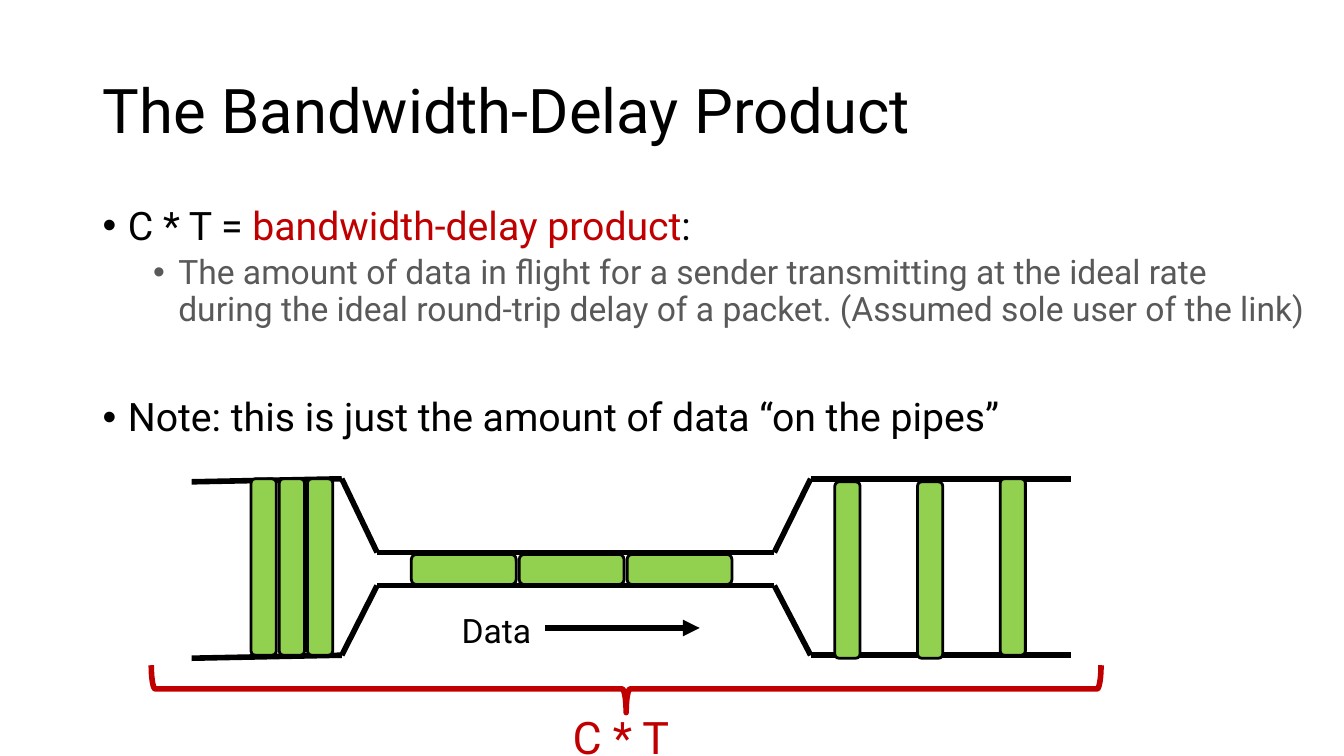
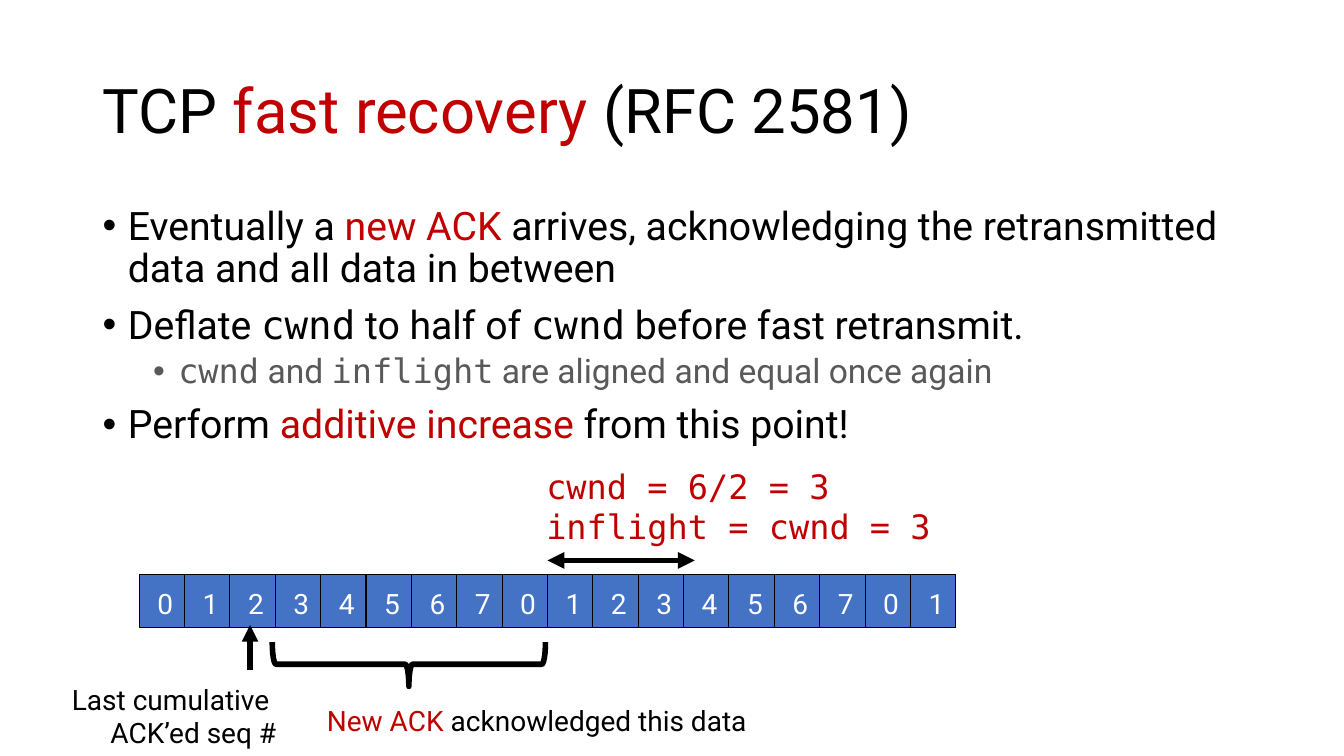
from itertools import pairwise

from lxml import etree
from pptx import Presentation
from pptx.dml.color import RGBColor
from pptx.enum.shapes import MSO_CONNECTOR, MSO_SHAPE
from pptx.enum.text import MSO_ANCHOR, PP_ALIGN
from pptx.oxml.ns import qn
from pptx.util import Emu, Pt

STRAIGHT = MSO_CONNECTOR.STRAIGHT
RECT = MSO_SHAPE.RECTANGLE
ROUNDED = MSO_SHAPE.ROUNDED_RECTANGLE
BRACE = MSO_SHAPE.RIGHT_BRACE
TOP, MIDDLE = MSO_ANCHOR.TOP, MSO_ANCHOR.MIDDLE
LEFT, CENTER, RIGHT = PP_ALIGN.LEFT, PP_ALIGN.CENTER, PP_ALIGN.RIGHT

EMU_PER_PX = 9144
SANS, MONO = "Roboto", "DejaVu Sans Mono"
BLACK, WHITE, RED, GRAY = "000000", "FFFFFF", "C00000", "595959"
PACKET_GREEN, CELL_BLUE = "92D050", "4472C4"
TITLE_BOX = (92, 40, 1150, 145)
LEVELS = (
    {"size": 28, "color": BLACK, "before": 10, "indent": 25},
    {"size": 24, "color": GRAY, "before": 5, "indent": 75},
)


def px(length):
    """Turn px into EMU."""
    return Emu(round(length * EMU_PER_PX))


def rgb(value):
    """Turn a hex string into a colour."""
    return RGBColor.from_string(value)


def red(text):
    """Return a run in the accent colour."""
    return text, {"color": RED}


def mono(text):
    """Return a run in the code font."""
    return text, {"font": MONO}


def add_bullet(paragraph, indent):
    """Give a paragraph a hanging bullet."""
    properties = paragraph._p.get_or_add_pPr()
    properties.set("marL", str(px(indent)))
    properties.set("indent", str(-px(25)))
    etree.SubElement(properties, qn("a:buFont")).set("typeface", "Arial")
    etree.SubElement(properties, qn("a:buChar")).set("char", "•")


def write(frame, *runs, size=20, color=BLACK, font=SANS, align=LEFT,
          spacing=None, before=0, indent=None):
    """Write one paragraph of plain or specially formatted runs."""
    first = frame.paragraphs[0]
    paragraph = frame.add_paragraph() if first.runs else first
    paragraph.alignment = align
    paragraph.space_before = Pt(before)
    if spacing:
        paragraph.line_spacing = spacing
    if indent is not None:
        add_bullet(paragraph, indent)
    for part in runs:
        text, special = (part, {}) if isinstance(part, str) else part
        run = paragraph.add_run()
        run.text = text
        run.font.size = Pt(size)
        run.font.name = special.get("font", font)
        run.font.color.rgb = rgb(special.get("color", color))


def text_area(slide, box, anchor=TOP):
    """Add a wrapping text box and return its frame."""
    frame = slide.shapes.add_textbox(*map(px, box)).text_frame
    frame.word_wrap = True
    frame.vertical_anchor = anchor
    return frame


def outlined(slide, kind, box, fill=None, color=BLACK, width=4):
    """Add a preset shape with a plain outline."""
    shape = slide.shapes.add_shape(kind, *map(px, box))
    shape.shadow.inherit = False
    if fill:
        shape.fill.solid()
        shape.fill.fore_color.rgb = rgb(fill)
    else:
        shape.fill.background()
    shape.line.color.rgb = rgb(color)
    shape.line.width = Pt(width)
    return shape


def add_line(slide, start, end, arrows=()):
    """Add a thick black line with arrowheads at the named ends."""
    line = slide.shapes.add_connector(STRAIGHT, *map(px, (*start, *end)))
    line.line.color.rgb = rgb(BLACK)
    line.line.width = Pt(4)
    for arrow in arrows:
        etree.SubElement(line.line._get_or_add_ln(), qn(f"a:{arrow}")).set("type", "triangle")
    etree.SubElement(line._element.spPr, qn("a:effectLst"))


def brace_below(slide, box, color):
    """Draw a brace that opens upwards and fills the box."""
    left, top, width, height = box
    upright = (left + (width - height) / 2, top + (height - width) / 2, height, width)
    outlined(slide, BRACE, upright, color=color).rotation = 90


def add_title(slide, *runs):
    """Place the slide title."""
    write(text_area(slide, TITLE_BOX, MIDDLE), *runs, size=44, spacing=0.9)


def add_body(slide, box, points):
    """Place bullets given as level, runs and optional changes of format."""
    frame = text_area(slide, box)
    for level, runs, *changes in points:
        style = LEVELS[level] | (changes[0] if changes else {})
        write(frame, *runs, spacing=0.9, **style)


def draw_pipe(slide, left, top):
    """Draw a pipe with a bottleneck and the packets inside it."""
    xs = (0, 149, 184, 578, 614, 872)
    walls = ((3, 0, 73, 73, 0, 0), (178, 175, 106, 106, 175, 175))
    for ys in walls:
        corners = [(left + x, top + y) for x, y in zip(xs, ys)]
        for start, end in pairwise(corners):
            add_line(slide, start, end)
    queued = [(59 + 28 * i, 0, 25, 175) for i in range(3)]
    squeezed = [(218 + 107 * i, 75, 104, 30) for i in range(3)]
    spaced = [(638 + 82 * i, y, 25, 175) for i, y in enumerate((3, 3, 0))]
    for x, y, width, height in queued + squeezed + spaced:
        outlined(slide, ROUNDED, (left + x, top + y, width, height), PACKET_GREEN, width=2)


def draw_sequence(slide, left, top, numbers):
    """Draw a row of numbered cells."""
    for i, number in enumerate(numbers):
        cell = outlined(slide, RECT, (left + 45 * i, top, 45, 53), CELL_BLUE, width=0.75)
        frame = cell.text_frame
        frame.vertical_anchor = MIDDLE
        frame.margin_left, frame.margin_right = px(18), 0
        frame.margin_top, frame.margin_bottom = px(5), 0
        write(frame, str(number), color=WHITE)


def bandwidth_slide(slide):
    """Build the slide on the bandwidth-delay product."""
    add_title(slide, "The Bandwidth-Delay Product")
    add_body(slide, (92, 200, 1215, 529), [
        (0, ["C * T = ", red("bandwidth-delay product"), ":"]),
        (1, ["The amount of data in flight for a sender transmitting at the ideal rate "
             "during the ideal round-trip delay of a packet. "
             "(Assumed sole user of the link)"]),
        (0, ["Note: this is just the amount of data “on the pipes”"], {"before": 49.5}),
    ])
    draw_pipe(slide, 190, 475)
    write(text_area(slide, (448, 600, 284, 50)), "Data", size=24)
    add_line(slide, (541, 623), (694, 623), ["tailEnd"])
    brace_below(slide, (150, 660, 942, 47), RED)
    write(text_area(slide, (558, 699, 141, 64)), "C * T", size=32, color=RED)


def recovery_slide(slide):
    """Build the slide on fast recovery."""
    add_title(slide, "TCP ", red("fast recovery"), " (RFC 2581)")
    add_body(slide, (92, 200, 1150, 476), [
        (0, ["Eventually a ", red("new ACK "),
             "arrives, acknowledging the retransmitted data and all data in between"]),
        (0, ["Deflate ", mono("cwnd"), " to half of ", mono("cwnd"),
             " before fast retransmit."]),
        (1, [mono("cwnd"), " and ", mono("inflight"), " are aligned and equal once again"]),
        (0, ["Perform ", red("additive increase "), "from this point!"]),
    ])
    window = text_area(slide, (532, 457, 483, 91))
    for equation in ("cwnd = 6/2 = 3", "inflight = cwnd = 3"):
        write(window, equation, size=24, color=RED, font=MONO)
    add_line(slide, (543, 556), (689, 556), ["headEnd", "tailEnd"])
    draw_sequence(slide, 138, 570, [i % 8 for i in range(18)])
    write(text_area(slide, (291, 693, 483, 44)),
          red("New ACK "), "acknowledged this data", align=CENTER)
    brace_below(slide, (270, 637, 271, 44), BLACK)
    last_ack = text_area(slide, (36, 672, 248, 77))
    for label in ("Last cumulative ", "ACK’ed seq #"):
        write(last_ack, label, align=RIGHT)
    add_line(slide, (248, 665), (248, 620), ["tailEnd"])


def main():
    """Build and save the presentation."""
    deck = Presentation()
    deck.slide_width, deck.slide_height = px(1333), px(750)
    for build in (bandwidth_slide, recovery_slide):
        build(deck.slides.add_slide(deck.slide_layouts[6]))
    deck.save("out.pptx")


if __name__ == "__main__":
    main()
